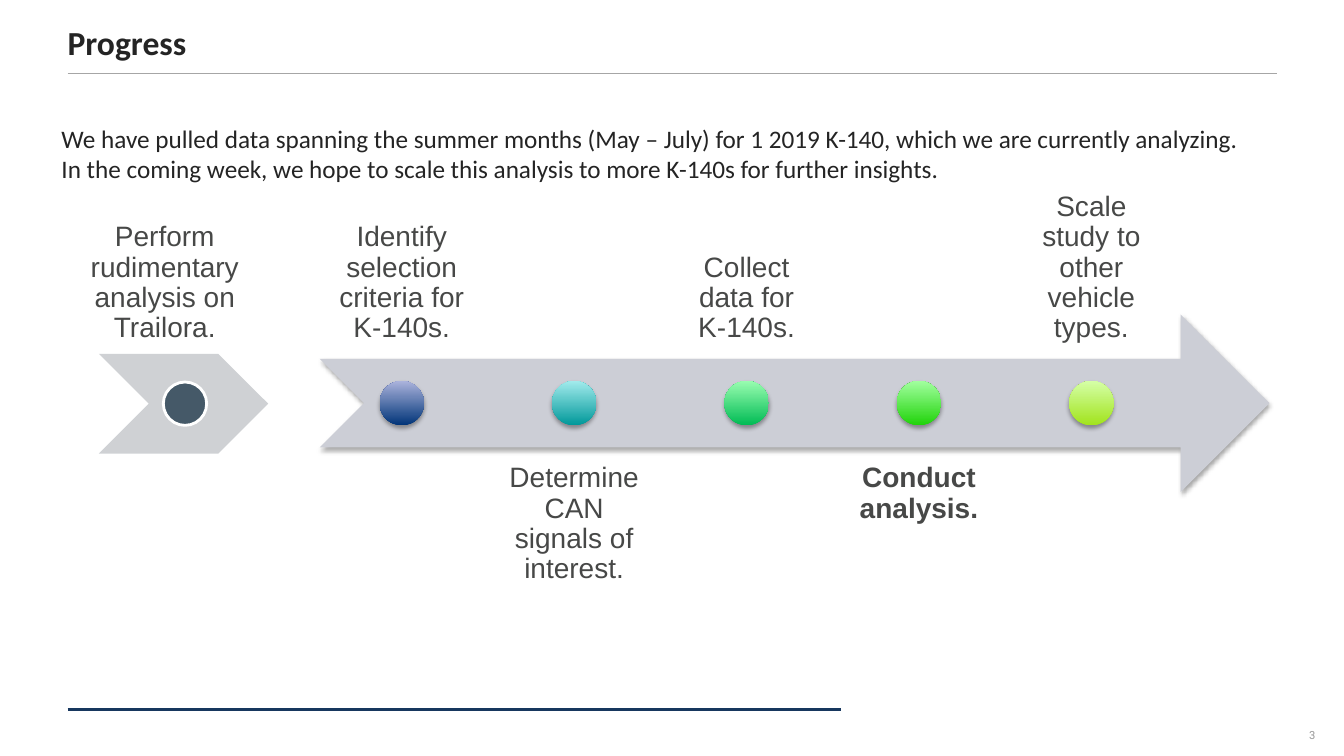
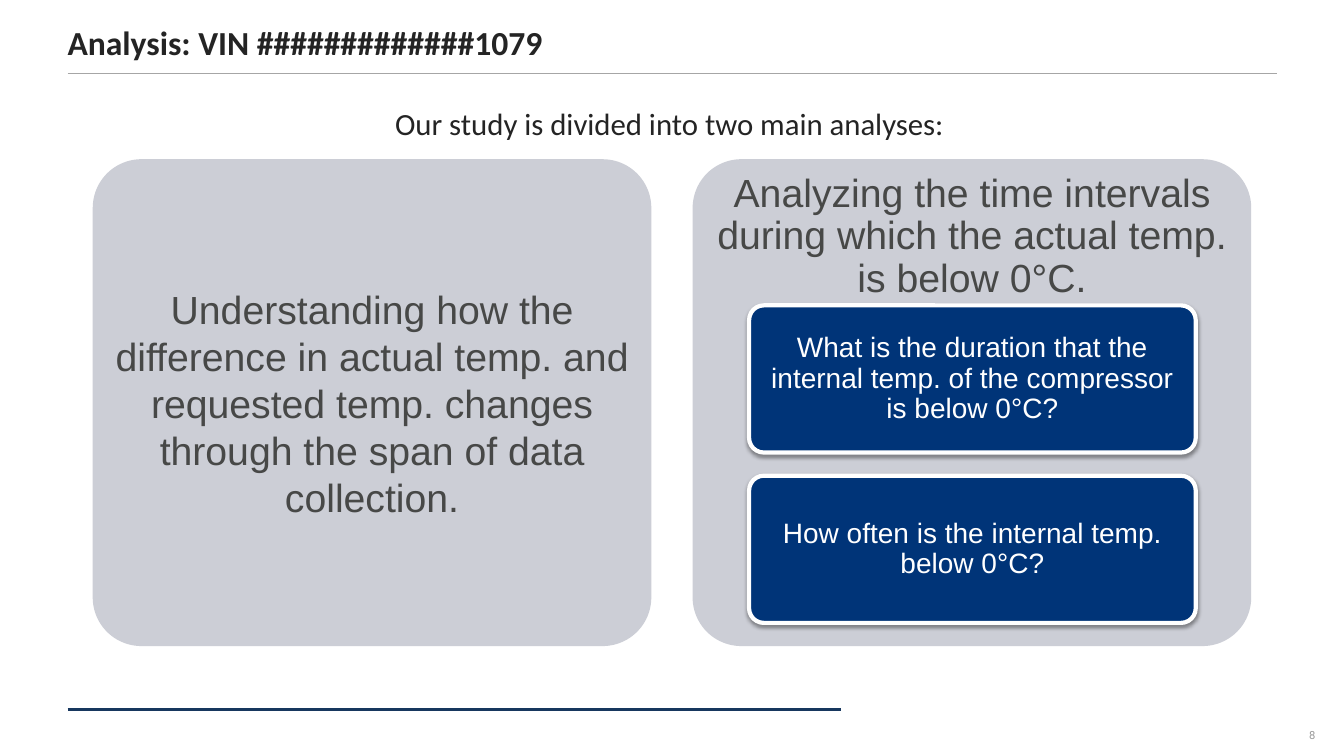
from dataclasses import dataclass
from typing import Any

from lxml import etree
from pptx import Presentation
from pptx import util as u
from pptx.dml.color import RGBColor
from pptx.enum import shapes, text
from pptx.oxml.ns import qn

Inches, Pt = u.Inches, u.Pt
Box = tuple[float, float, float, float]
Kind, Align, Anchor = shapes.MSO_SHAPE, text.PP_ALIGN, text.MSO_ANCHOR

WHITE = RGBColor(0xFF, 0xFF, 0xFF)
INK = RGBColor(0x24, 0x24, 0x24)
GRAY = RGBColor(0x47, 0x48, 0x47)
PALE = RGBColor(0xCC, 0xCE, 0xD6)
SILVER = RGBColor(0xCF, 0xD1, 0xD4)
SLATE = RGBColor(0x45, 0x59, 0x68)
BLUE = RGBColor(0x00, 0x34, 0x78)
NAVY = RGBColor(0x17, 0x37, 0x5E)
RULE = RGBColor(0xA6, 0xA6, 0xA6)
FAINT = RGBColor(0x99, 0x99, 0x99)

TITLE = dict(name="Calibri", size=Pt(24), bold=True, color=INK)
BODY = dict(name="Calibri", size=Pt(18), bold=False, color=INK)
LEAD = BODY | dict(size=Pt(22))
LABEL = dict(name="Arial", size=Pt(20), bold=False, color=GRAY)
STRONG = LABEL | dict(bold=True)
PANEL = LABEL | dict(size=Pt(28))
CARD = LABEL | dict(color=WHITE)
PAGE = dict(name="Roboto", size=Pt(8), bold=False, color=FAINT)

EDGE = (0, 0.05, 0.1, 0.05)
PAD = (0.16,) * 4


@dataclass
class Step:
    words: str
    dark: str
    light: str
    above: bool = True
    font: dict[str, Any] | None = None


STEPS = [
    Step("Identify selection criteria for K-140s.", "003478", "ABB3DC"),
    Step("Determine CAN signals of interest.", "00989A", "A2EBEC", above=False),
    Step("Collect data for K-140s.", "00BB54", "99FDB0"),
    Step("Conduct analysis.", "20D30A", "A2FF9F", above=False, font=STRONG),
    Step("Scale study to other vehicle types.", "A1E31C", "D5FFA7"),
]

CARDS = [
    "What is the duration that the internal temp. of the compressor is below 0°C?",
    "How often is the internal temp. below 0°C?",
]


def place(box: Box) -> list[int]:
    return [Inches(n) for n in box]


def move(shape: Any, box: Box) -> None:
    for name, size in zip(("left", "top", "width", "height"), place(box)):
        setattr(shape, name, size)


def write(shape: Any, words: str, font: dict[str, Any], align: Any = Align.CENTER,
          anchor: Any = Anchor.TOP, pad: Box = PAD, lead: float = 1.0) -> None:
    frame = shape.text_frame
    look = dict(word_wrap=True, auto_size=text.MSO_AUTO_SIZE.NONE, vertical_anchor=anchor)
    for side, size in zip(("left", "top", "right", "bottom"), place(pad)):
        look[f"margin_{side}"] = size
    for name, value in look.items():
        setattr(frame, name, value)
    para = frame.paragraphs[0]
    for name, value in dict(alignment=align, line_spacing=lead, space_before=Pt(0)).items():
        setattr(para, name, value)
    run = para.add_run()
    run.text = words
    for name, value in font.items():
        if name == "color":
            run.font.color.rgb = value
        else:
            setattr(run.font, name, value)


def label(slide: Any, box: Box, words: str, font: dict[str, Any], **look: Any) -> None:
    write(slide.shapes.add_textbox(*place(box)), words, font, **look)


def draw(slide: Any, kind: Any, box: Box, fill: RGBColor | None = None,
         edge: float = 0) -> Any:
    """Add a flat shape; edge is the width of its white outline in points."""
    shape = slide.shapes.add_shape(kind, *place(box))
    shape.shadow.inherit = False
    if fill is not None:
        shape.fill.solid()
        shape.fill.fore_color.rgb = fill
    if edge:
        shape.line.color.rgb = WHITE
        shape.line.width = Pt(edge)
    else:
        shape.line.fill.background()
    return shape


def shade(shape: Any, alpha: int, drop: float) -> None:
    """Cast a soft black shadow straight down; drop is in points."""
    glow = shape.element.spPr.find(qn("a:effectLst"))
    cast = etree.SubElement(glow, qn("a:outerShdw"), blurRad=str(Pt(3.1)),
                            dist=str(Pt(drop)), dir="5400000", rotWithShape="0")
    tint = etree.SubElement(cast, qn("a:srgbClr"), val="000000")
    etree.SubElement(tint, qn("a:alpha"), val=str(alpha * 1000))


def dress(layout: Any, slide: Any) -> None:
    """Give the layout its title place and its two rules."""
    move(layout.placeholders[0], (0.67, 0.16, 12, 0.51))
    for top, right, color, width in ((0.73, 12.67, RULE, 1), (7.04, 8.34, NAVY, 2.25)):
        line = slide.shapes.add_connector(
            shapes.MSO_CONNECTOR.STRAIGHT, *place((0.67, top, right, top)))
        line.line.color.rgb = color
        line.line.width = Pt(width)
        etree.SubElement(line.element.spPr, qn("a:effectLst"))
        layout.element.cSld.spTree.append(line.element)


def start(deck: Any, title: str, page: int) -> Any:
    slide = deck.slides.add_slide(deck.slide_layouts[1])
    write(slide.shapes.title, title, TITLE, Align.LEFT, Anchor.BOTTOM, EDGE)
    label(slide, (12.69, 7.09, 0.65, 0.4), str(page), PAGE,
          anchor=Anchor.MIDDLE, pad=(0, 0, 0, 0))
    return slide


def fill_body(slide: Any, box: Box, words: str, font: dict[str, Any], align: Any) -> None:
    body = slide.placeholders[1]
    move(body, box)
    write(body, words, font, align, pad=EDGE)
    props = body.text_frame.paragraphs[0]._p.get_or_add_pPr()
    props.set("marL", "0")
    props.set("indent", "0")
    etree.SubElement(props, qn("a:buNone"))


def show_steps(slide: Any) -> None:
    fill_body(slide, (0.61, 1.17, 12, 5.83),
              "We have pulled data spanning the summer months (May – July) for 1 2019 K-140, "
              "which we are currently analyzing. In the coming week, we hope to scale this "
              "analysis to more K-140s for further insights.", BODY, Align.LEFT)
    shade(draw(slide, Kind.NOTCHED_RIGHT_ARROW, (3.17, 3.12, 9.42, 1.76), PALE), 35, 1.8)
    wide, dot, gap = 1.63, 0.44, 1.71
    for i, step in enumerate(STEPS):
        left = 3.17 + gap * i
        label(slide, (left, 1.81 if step.above else 4.44, wide, 1.76), step.words,
              step.font or LABEL, lead=0.9,
              anchor=Anchor.BOTTOM if step.above else Anchor.TOP)
        ball = draw(slide, Kind.OVAL, (left + (wide - dot) / 2, 3.78, dot, dot))
        ball.fill.gradient()
        ball.fill.gradient_angle = 90
        for stop, color in zip(ball.fill.gradient_stops, (step.dark, step.light)):
            stop.color.rgb = RGBColor.from_string(color)
        shade(ball, 35, 1.8)
    draw(slide, Kind.CHEVRON, (0.98, 3.51, 1.68, 0.99), SILVER)
    label(slide, (0.72, 1.84, 1.83, 1.73), "Perform rudimentary analysis on Trailora.",
          LABEL, anchor=Anchor.BOTTOM, lead=0.9)
    draw(slide, Kind.OVAL, (1.62, 3.79, 0.43, 0.43), SLATE, edge=2)


def show_study(slide: Any) -> None:
    fill_body(slide, (0.69, 0.99, 12, 0.51),
              "Our study is divided into two main analyses:", LEAD, Align.CENTER)
    panels = (
        (0.92, "Understanding how the difference in actual temp. and requested temp. "
               "changes through the span of data collection.", Anchor.MIDDLE, 1.0),
        (6.87, "Analyzing the time intervals during which the actual temp. is below 0°C.",
         Anchor.TOP, 0.9),
    )
    for left, words, anchor, lead in panels:
        panel = draw(slide, Kind.ROUNDED_RECTANGLE, (left, 1.58, 5.54, 4.83), PALE)
        panel.adjustments[0] = 0.1
        write(panel, words, PANEL, anchor=anchor, pad=(0.05, 0, 0.05, 0), lead=lead)
    for i, words in enumerate(CARDS):
        card = draw(slide, Kind.ROUNDED_RECTANGLE, (7.43, 3.03 + 1.69 * i, 4.43, 1.46),
                    BLUE, edge=3)
        card.adjustments[0] = 0.1
        shade(card, 38, 1.6)
        write(card, words, CARD, anchor=Anchor.MIDDLE, pad=(0.06, 0.04, 0.06, 0.04), lead=0.9)


def main() -> None:
    deck = Presentation()
    deck.slide_width, deck.slide_height = Inches(13.33), Inches(7.5)
    first = start(deck, "Progress", 3)
    dress(deck.slide_layouts[1], first)
    show_steps(first)
    show_study(start(deck, "Analysis: VIN #############1079", 8))
    deck.save("out.pptx")


if __name__ == "__main__":
    main()
